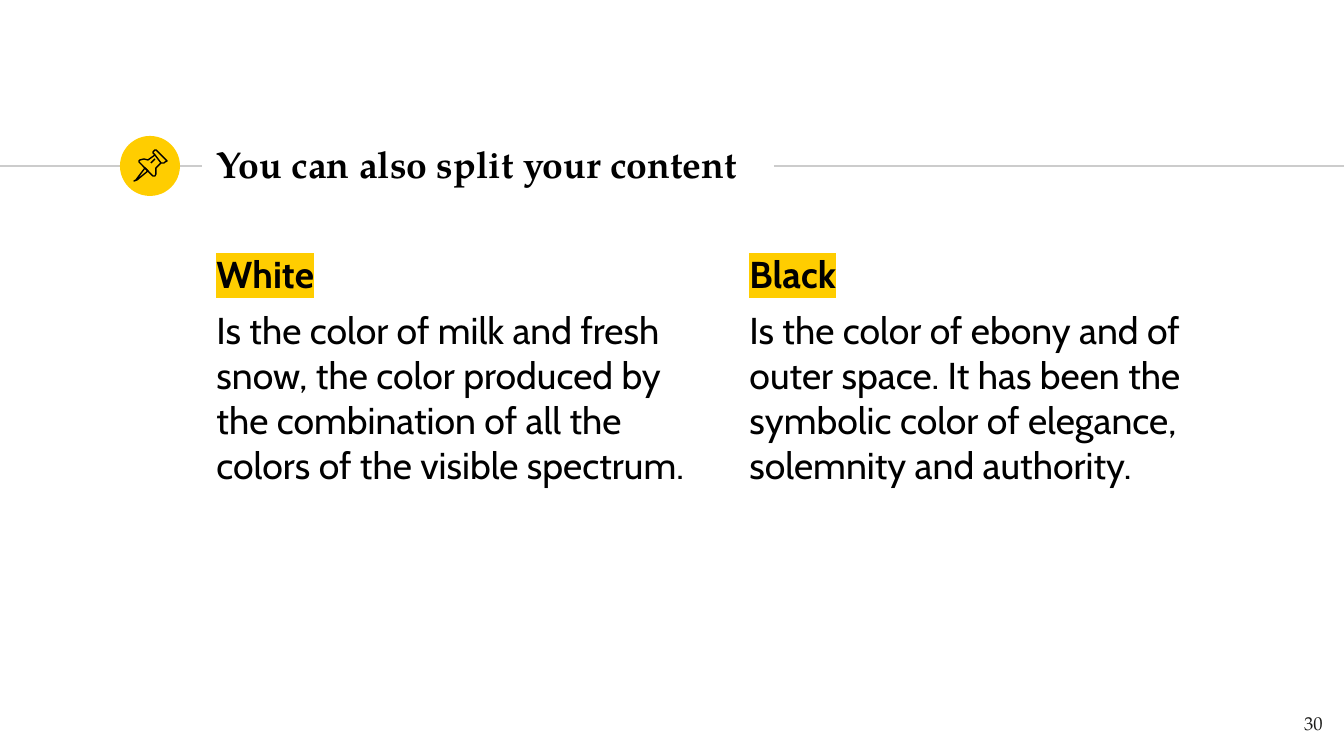
from pptx import Presentation
from pptx.dml.color import RGBColor
from pptx.enum.shapes import MSO_CONNECTOR, MSO_SHAPE
from pptx.enum.text import MSO_ANCHOR as Anchor, MSO_AUTO_SIZE as AutoSize, PP_ALIGN as Align
from pptx.oxml.ns import qn
from pptx.util import Emu, Pt
from lxml.etree import SubElement

PX = 914400 / 134.4
WIDTH, HEIGHT = 1344, 756
TWO_CONTENT = 3

BLACK = RGBColor(0x00, 0x00, 0x00)
INK = RGBColor(0x1D, 0x1D, 0x1B)
YELLOW = RGBColor(0xFF, 0xCD, 0x00)
GRAY = RGBColor(0xCC, 0xCC, 0xCC)

TITLE = {"name": "TeX Gyre Pagella", "size": Pt(20), "bold": True}
HEADING = {"name": "Cabin", "size": Pt(20), "bold": True}
BODY = {**HEADING, "bold": False}
NUMBER = {"name": "TeX Gyre Pagella", "size": Pt(10), "bold": False}

RULE_Y = 166
COLUMN_TOP, COLUMN_WIDTH, COLUMN_HEIGHT = 238, 504, 474
COLUMNS = [
    (203, "White", "Is the color of milk and fresh snow, the color produced by "
                   "the combination of all the colors of the visible spectrum."),
    (736, "Black", "Is the color of ebony and of outer space. It has been the "
                   "symbolic color of elegance, solemnity and authority."),
]

# Outlines of the pushpin: points in px, and whether the outline is closed
PIN = [
    ([(145, 168), (136, 180), (134, 181), (137, 180), (148, 171)], True),
    ([(155, 155), (161, 163), (164, 163), (165, 162), (167, 161), (166, 160),
      (156, 150), (155, 150), (153, 152), (153, 153)], True),
    ([(155, 155), (148, 160), (144, 159), (140, 160), (139, 161), (139, 162),
      (153, 176), (155, 176), (156, 174), (156, 168), (161, 163)], False),
    ([(151, 163), (155, 159)], False),
]


def px(*lengths):
    return [Emu(round(length * PX)) for length in lengths]


class SlideBuilder:
    """Holds the current slide and draws each kind of element on it."""

    def __init__(self, slide):
        self.slide = slide
        self.shapes = slide.shapes

    def place(self, box, at, anchor=Anchor.TOP):
        """Move a text box or placeholder and give its frame even insets."""
        box.left, box.top, box.width, box.height = px(*at)
        frame = box.text_frame
        inset = Pt(7.2)
        settings = {"word_wrap": True, "auto_size": AutoSize.NONE, "vertical_anchor": anchor,
                    "margin_left": inset, "margin_top": inset,
                    "margin_right": inset, "margin_bottom": inset}
        for name, value in settings.items():
            setattr(frame, name, value)
        return frame

    def add_span(self, para, text, style, color=BLACK, align=Align.LEFT, highlight=None):
        para.alignment = align
        span = para.add_run()
        span.text = text
        for name, value in style.items():
            setattr(span.font, name, value)
        span.font.color.rgb = color
        if highlight is not None:
            properties = span._r.get_or_add_rPr()
            mark = SubElement(properties, qn("a:highlight"))
            SubElement(mark, qn("a:srgbClr"), val=str(highlight))
            properties.find(qn("a:solidFill")).addnext(mark)

    def title(self, text, at):
        frame = self.place(self.shapes.title, at, Anchor.MIDDLE)
        self.add_span(frame.paragraphs[0], text, TITLE)

    def column(self, index, at, heading, body):
        frame = self.place(self.slide.placeholders[index], at)
        lines = [(frame.paragraphs[0], heading, HEADING, YELLOW, 0),
                 (frame.add_paragraph(), body, BODY, None, 6)]
        for para, text, style, highlight, before in lines:
            properties = para._p.get_or_add_pPr()
            properties.set("marL", "0")
            properties.set("indent", "0")
            SubElement(properties, qn("a:buNone"))
            para.space_before = Pt(before)
            self.add_span(para, text, style, highlight=highlight)

    def text(self, text, at, style, color, align):
        frame = self.place(self.shapes.add_textbox(*px(*at)), at)
        self.add_span(frame.paragraphs[0], text, style, color, align)

    def rule(self, start, end):
        line = self.shapes.add_connector(MSO_CONNECTOR.STRAIGHT,
                                         *px(start, RULE_Y, end, RULE_Y))
        line.line.color.rgb = GRAY
        line.line.width = Pt(0.75)
        SubElement(line._element.spPr, qn("a:effectLst"))

    def disc(self, at):
        disc = self.shapes.add_shape(MSO_SHAPE.OVAL, *px(*at))
        disc.shadow.inherit = False
        disc.fill.solid()
        disc.fill.fore_color.rgb = YELLOW
        disc.line.fill.background()

    def outline(self, points, closed):
        start, *rest = points
        builder = self.shapes.build_freeform(*start, scale=PX)
        builder.add_line_segments(rest, close=closed)
        shape = builder.convert_to_shape()
        shape.shadow.inherit = False
        shape.fill.background()
        shape.line.color.rgb = BLACK
        shape.line.width = Pt(0.75)


def main():
    deck = Presentation()
    deck.slide_width, deck.slide_height = px(WIDTH, HEIGHT)
    page = SlideBuilder(deck.slides.add_slide(deck.slide_layouts[TWO_CONTENT]))

    page.rule(0, 202)
    page.disc((120, 136, 60, 60))
    page.rule(774, WIDTH)
    page.title("You can also split your content", (203, 132, 570, 64))
    for index, (left, heading, body) in enumerate(COLUMNS, start=1):
        page.column(index, (left, COLUMN_TOP, COLUMN_WIDTH, COLUMN_HEIGHT), heading, body)
    for points, closed in PIN:
        page.outline(points, closed)
    page.text("30", (1255, 698, 81, 58), NUMBER, INK, Align.RIGHT)

    deck.save("out.pptx")


if __name__ == "__main__":
    main()
